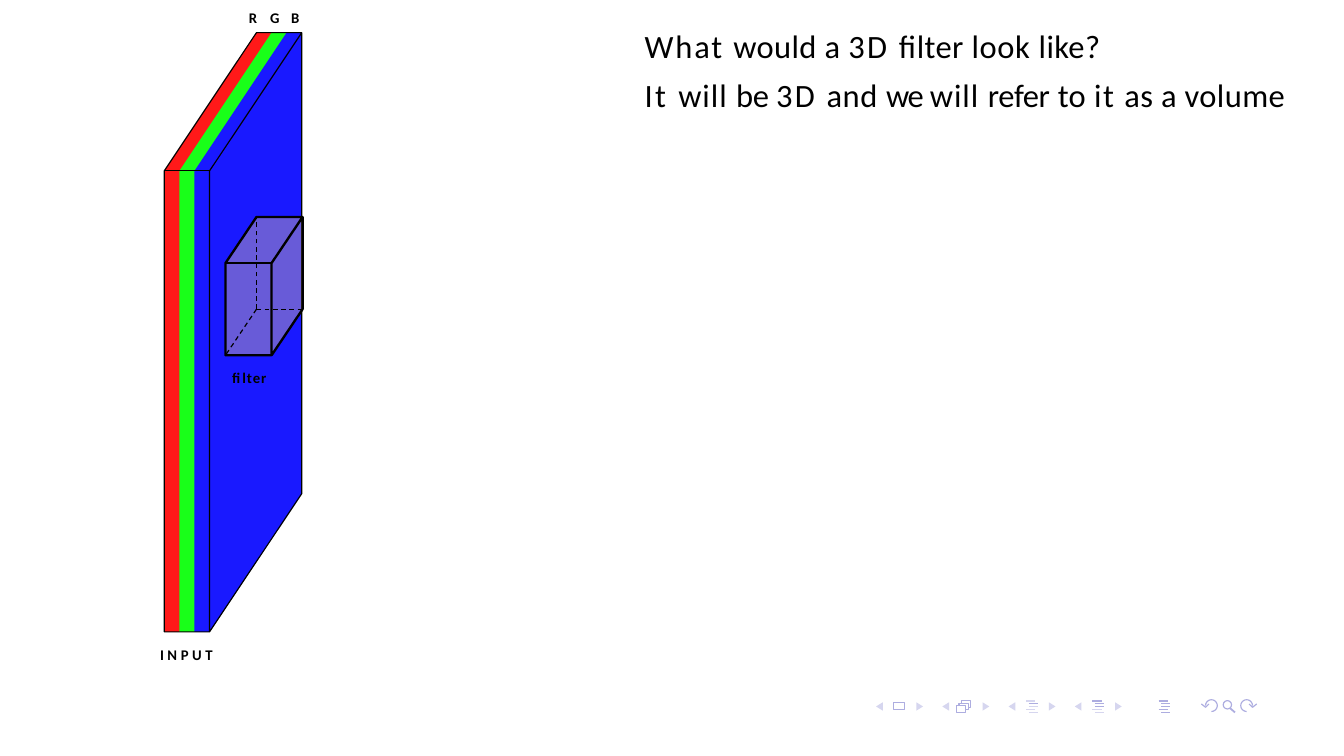
from math import cos, radians, sin

from lxml.etree import SubElement
from pptx import Presentation
from pptx.dml.color import RGBColor
from pptx.enum.dml import MSO_LINE_DASH_STYLE as Dash
from pptx.enum.shapes import MSO_CONNECTOR as Connector, MSO_SHAPE as Preset
from pptx.oxml.ns import qn
from pptx.util import Cm, Pt

BLACK, NAV_DARK, NAV_LIGHT = "000000", "ADADE0", "D6D6EF"


def color(value):
    return RGBColor.from_string(value)


class Painter:
    font = "Calibri"

    def __init__(self, page):
        self.page = page

    def paint(self, shape, fill=None, line=None, width=0.4, alpha=None, dash=None):
        shape.shadow.inherit = False
        if fill:
            shape.fill.solid()
            shape.fill.fore_color.rgb = color(fill)
            if alpha:
                tint = shape.fill._xPr.find(qn("a:solidFill"))[0]
                SubElement(tint, qn("a:alpha")).set("val", str(alpha * 1000))
        else:
            shape.fill.background()
        if line:
            shape.line.color.rgb = color(line)
            shape.line.width = Pt(width)
            if dash:
                shape.line.dash_style = dash
        else:
            shape.line.fill.background()

    def outline(self, *paths, close=False, **style):
        """Draw one freeform from paths of (x, y) points in centimetres."""
        paths = [[(Cm(x), Cm(y)) for x, y in points] for points in paths]
        builder = self.page.shapes.build_freeform(*paths[0][0], scale=1.0)
        for index, points in enumerate(paths):
            if index:
                builder.move_to(*points[0])
            builder.add_line_segments(points[1:], close=close)
        self.paint(builder.convert_to_shape(), **style)

    def preset(self, kind, left, top, width, height, **style):
        shape = self.page.shapes.add_shape(kind, Cm(left), Cm(top), Cm(width), Cm(height))
        self.paint(shape, **style)

    def line(self, start, end, stroke, width):
        link = self.page.shapes.add_connector(
            Connector.STRAIGHT, *(Cm(value) for value in (*start, *end)))
        link.line.color.rgb = color(stroke)
        link.line.width = Pt(width)
        SubElement(link._element.spPr, qn("a:effectLst"))

    def text(self, left, top, width, height, paras, size, bold=False, gap=0):
        """Each paragraph is a list of (text, letter spacing in points)."""
        box = self.page.shapes.add_textbox(Cm(left), Cm(top), Cm(width), Cm(height))
        frame = box.text_frame
        layout = {"word_wrap": True, "margin_left": 0, "margin_right": 0,
                  "margin_top": 0, "margin_bottom": 0}
        for name, value in layout.items():
            setattr(frame, name, value)
        for index, spans in enumerate(paras):
            para = frame.add_paragraph() if index else frame.paragraphs[0]
            if index:
                para.space_before = Pt(gap)
            for words, spacing in spans:
                span = para.add_run()
                span.text = words
                for name, value in {"name": self.font, "size": Pt(size), "bold": bold}.items():
                    setattr(span.font, name, value)
                span.font.color.rgb = color(BLACK)
                span._r.get_or_add_rPr().set("spc", str(round(spacing * 100)))

    def slab(self, left, top, width, height, depth, rise, **style):
        """Fill the silhouette of a box whose back is shifted right and up."""
        right, bottom = left + width, top + height
        self.outline([(left, top), (left + depth, top - rise), (right + depth, top - rise),
                      (right + depth, bottom - rise), (right, bottom), (left, bottom)],
                     close=True, **style)

    def edges(self, left, top, width, height, depth, rise, stroke):
        """Draw the visible edges of the same box."""
        right, bottom = left + width, top + height
        back = top - rise
        self.outline([(right, bottom), (left, bottom), (left, top), (left + depth, back),
                      (right + depth, back), (right + depth, bottom - rise),
                      (right, bottom), (right, top), (right + depth, back)],
                     [(left, top), (right, top)], line=BLACK, width=stroke)


def draw_navigation(painter):
    first, step, middle = 10.73, 0.79, 8.43
    centers = [first + step * index for index in range(5)]
    # Arrowheads on both sides of the first four icons
    for center in centers[:4]:
        for side in (-1, 1):
            base = center + side * 0.2
            painter.outline([(base, middle - 0.05), (base + side * 0.08, middle),
                             (base, middle + 0.05)], close=True, fill=NAV_LIGHT)
    # Single frame and stacked frames
    painter.preset(Preset.RECTANGLE, first - 0.07, 8.38, 0.13, 0.09, line=NAV_DARK)
    left, top, shift = centers[1] - 0.11, 8.42, 0.03
    painter.preset(Preset.RECTANGLE, left, top, 0.11, 0.08, line=NAV_DARK)
    sheets = []
    for level in (1, 2):
        x, y = left + shift * level, top - shift * level
        sheets.append([(x, y + shift), (x, y), (x + 0.11, y),
                       (x + 0.11, y + 0.08), (x + 0.08, y + 0.08)])
    painter.outline(*sheets, line=NAV_DARK)
    # Outline icons, with the highlighted rows in the darker tint
    for center, dark_rows in zip(centers[2:], ({1}, {0, 1, 2}, set(range(5)))):
        for row in range(5):
            x = center - (0.07 if row in (0, 3) else 0.04)
            y = 8.36 + 0.035 * row
            painter.line((x, y), (x + 0.11, y), NAV_DARK if row in dark_rows else NAV_LIGHT, 0.6)
    # Magnifier
    painter.line((14.67, 8.45), (14.73, 8.5), NAV_DARK, 0.6)
    painter.preset(Preset.OVAL, 14.59, 8.36, 0.1, 0.1, line=NAV_DARK)
    # Back and forward arrows, mirrored
    for center, side in ((14.45, 1), (14.87, -1)):
        arc = [(center + side * 0.07 * cos(radians(angle)), 8.42 + 0.07 * sin(radians(angle)))
               for angle in range(90, -181, -15)]
        head = [(center + side * x, y) for x, y in ((-0.03, 8.4), (-0.07, 8.44), (-0.12, 8.4))]
        painter.outline(arc, head, line=NAV_DARK)


def draw_volumes(painter):
    # Input volume: one slab per colour channel
    left, top, band, height, depth, rise = 1.96, 2.04, 0.18, 5.5, 1.1, 1.65
    channels = ("FF1919", "19FF19", "1919FF")
    for index, fill in enumerate(channels):
        painter.slab(left + band * index, top, band, height, depth, rise, fill=fill)
    painter.edges(left, top, band * len(channels), height, depth, rise, 0.4)
    # Filter: translucent box with hidden edges dashed
    left, top, width, height, depth, rise = 2.69, 3.14, 0.55, 1.1, 0.37, 0.55
    painter.slab(left, top, width, height, depth, rise, fill="DFBF9F", alpha=40)
    painter.edges(left, top, width, height, depth, rise, 0.8)
    corner = (left + depth, top + height - rise)
    ends = ((left, top + height), (left + depth, top - rise), (left + width + depth, corner[1]))
    painter.outline(*([corner, end] for end in ends), line=BLACK, dash=Dash.DASH)


def main():
    deck = Presentation()
    deck.slide_width, deck.slide_height = Cm(16.03), Cm(9.02)
    painter = Painter(deck.slides.add_slide(deck.slide_layouts[6]))
    draw_navigation(painter)
    draw_volumes(painter)
    # Labels
    labels = ((1.91, 7.7, [("INPUT", 1.2)]),
              (2.97, 0.11, [("R ", 1.6), ("G ", 1.4), ("B", 1.3)]),
              (2.77, 4.4, [("filter", 0.3)]))
    for left, top, spans in labels:
        painter.text(left, top, 0.9, 0.28, [spans], 5, bold=True)
    # Question and answer
    question = [("What ", 0.6), ("would a ", 0.1), ("3D ", 0.7), ("filter ", 0.1),
                ("look ", 0.2), ("like?", 0.1)]
    answer = [("It ", 0.8), ("will ", 0.3), ("be ", -0.1), ("3D ", 0.7), ("and ", 0.2),
              ("we ", -0.5), ("will ", 0.3), ("refer", -0.1), (" to ", 0.1), ("it ", 0.5),
              ("as a volume", 0.1)]
    painter.text(7.69, 0.31, 8, 1.1, [question, answer], 11, gap=3.3)
    deck.save("out.pptx")


if __name__ == "__main__":
    main()
